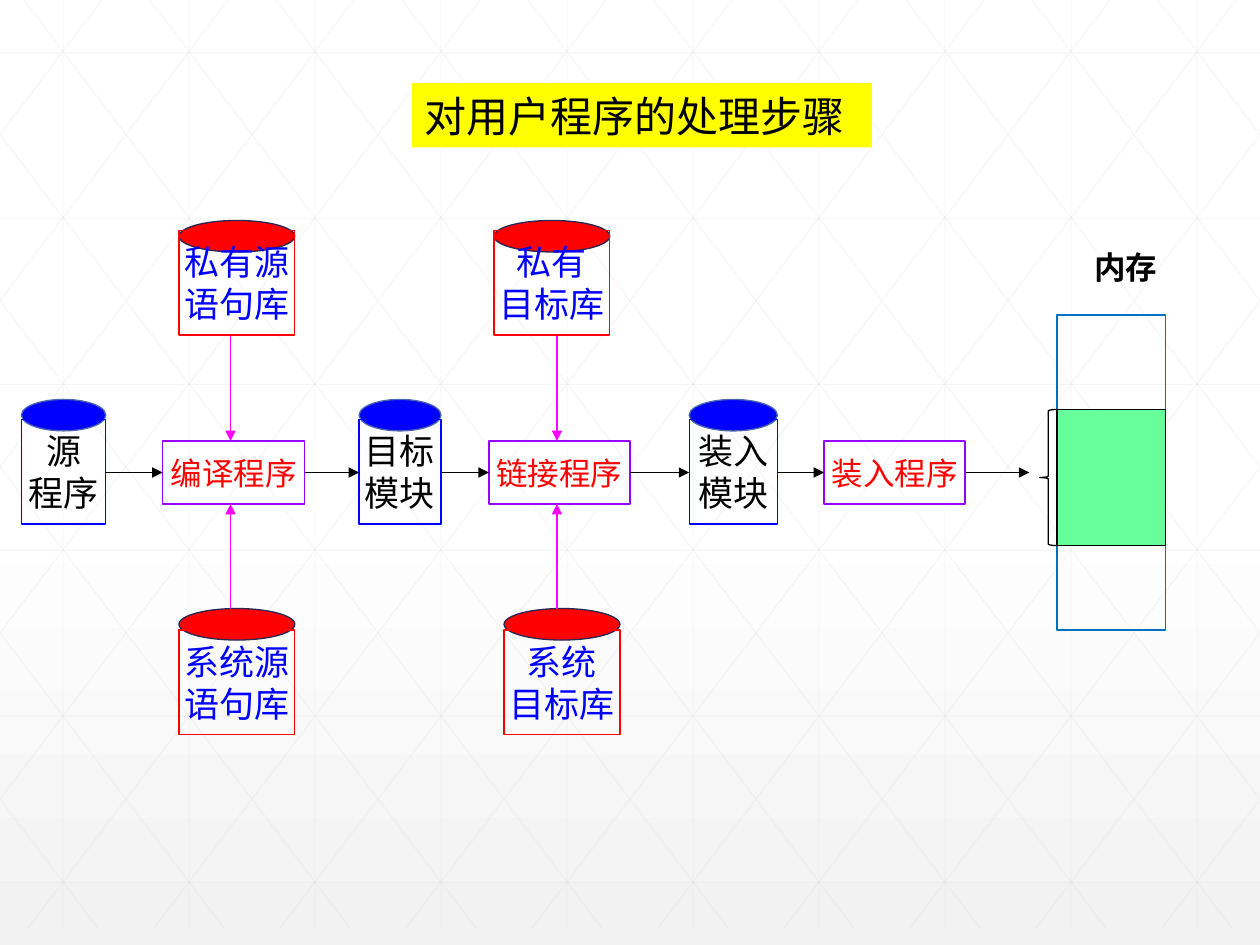
"""Draw the steps that turn a user program into an image in memory."""
from typing import NamedTuple, Optional

from lxml.etree import SubElement
from pptx import Presentation
from pptx.dml.color import RGBColor
from pptx.enum.shapes import MSO_CONNECTOR, MSO_SHAPE
from pptx.enum.text import MSO_ANCHOR, PP_ALIGN
from pptx.oxml.ns import qn
from pptx.util import Inches, Pt

BLACK = RGBColor(0, 0, 0)
WHITE = RGBColor(255, 255, 255)
PALE = RGBColor(0xF2, 0xF2, 0xF2)
GREY = RGBColor(0xD9, 0xD9, 0xD9)
YELLOW = RGBColor(255, 255, 0)
RED = RGBColor(255, 0, 0)
BLUE = RGBColor(0, 0, 255)
STEEL = RGBColor(0x4A, 0x66, 0xAC)
NAVY = RGBColor(0x24, 0x28, 0x52)
PURPLE = RGBColor(0x99, 0, 255)
PINK = RGBColor(255, 0, 255)
AZURE = RGBColor(0, 0x70, 0xC0)
GREEN = RGBColor(0x66, 255, 0x99)

WIDE, HIGH = 10, 7.5
FLOOR, RUN = 7.37, 5.59
MID = 3.75


class Look(NamedTuple):
    edge: RGBColor
    lid: RGBColor
    rim: RGBColor
    ink: RGBColor


FILE = Look(BLUE, BLUE, STEEL, BLACK)
STORE = Look(RED, RED, NAVY, BLUE)


class Drum(NamedTuple):
    text: str
    left: float
    top: float
    width: float
    lid: float
    look: Look


class Step(NamedTuple):
    text: str
    left: float
    width: float


DRUMS = [
    Drum("源\n程序", 0.17, 3.33, 0.67, 3.17, FILE),
    Drum("目标\n模块", 2.85, 3.33, 0.65, 3.17, FILE),
    Drum("装入\n模块", 5.47, 3.33, 0.7, 3.17, FILE),
    Drum("私有源\n语句库", 1.42, 1.83, 0.92, 1.75, STORE),
    Drum("系统源\n语句库", 1.42, 5, 0.92, 4.83, STORE),
    Drum("私有\n目标库", 3.92, 1.83, 0.92, 1.75, STORE),
    Drum("系统\n目标库", 4, 5, 0.92, 4.83, STORE),
]
STEPS = [
    Step("编译程序", 1.29, 1.13),
    Step("链接程序", 3.88, 1.12),
    Step("装入程序", 6.54, 1.12),
]
FLOWS = [(0.83, 1.29), (2.42, 2.85), (3.5, 3.88), (5, 5.47), (6.17, 6.54), (7.67, 8.17)]


def draw_line(slide, x1: float, y1: float, x2: float, y2: float, color: RGBColor,
              weight: float = 0.75, arrow: bool = True, alpha: int = 100) -> None:
    line = slide.shapes.add_connector(
        MSO_CONNECTOR.STRAIGHT, Inches(x1), Inches(y1), Inches(x2), Inches(y2))
    line.line.color.rgb = color
    line.line.width = Pt(weight)
    props = line._element.spPr
    SubElement(props, qn("a:effectLst"))
    if arrow:
        SubElement(props.find(qn("a:ln")), qn("a:tailEnd"), type="triangle")
    if alpha < 100:
        SubElement(next(props.iter(qn("a:srgbClr"))), qn("a:alpha"), val=str(alpha * 1000))


def draw_shape(slide, kind: MSO_SHAPE, left: float, top: float, width: float, height: float,
               fill: Optional[RGBColor] = None, edge: Optional[RGBColor] = None):
    shape = slide.shapes.add_shape(
        kind, Inches(left), Inches(top), Inches(width), Inches(height))
    shape.shadow.inherit = False
    if fill is None:
        shape.fill.background()
    else:
        shape.fill.solid()
        shape.fill.fore_color.rgb = fill
    if edge is None:
        shape.line.fill.background()
    else:
        shape.line.color.rgb = edge
        shape.line.width = Pt(0.75)
    return shape


def set_text(shape, text: str, size: int, color: RGBColor, bold: bool = False,
             align: PP_ALIGN = PP_ALIGN.CENTER, wrap: bool = False) -> None:
    frame = shape.text_frame
    frame.text = text
    frame.word_wrap = wrap
    frame.vertical_anchor = MSO_ANCHOR.MIDDLE
    for para in frame.paragraphs:
        para.alignment = align
        para.font.name = "Arial"
        para.font.size = Pt(size)
        para.font.bold = bold
        para.font.color.rgb = color


def draw_mesh(slide) -> None:
    def thread(x1: float, y1: float, x2: float, y2: float) -> None:
        draw_line(slide, x1, y1, x2, y2, GREY, 0.5, False, 25)

    for col in range(10):
        thread(col + 0.5, 0, col + 0.5, FLOOR)
    for row in range(6):
        y = 0.42 + row * 1.316
        thread(0, y, WIDE, y)
    slope = FLOOR / RUN
    for step in range(-5, 10):
        start = step + 0.19
        x1, x2 = max(start, 0), min(start + RUN, WIDE)
        y1, y2 = (x1 - start) * slope, (x2 - start) * slope
        thread(x1, y1, x2, y2)
        thread(WIDE - x1, y1, WIDE - x2, y2)


def draw_drum(slide, drum: Drum) -> None:
    look = drum.look
    draw_shape(slide, MSO_SHAPE.OVAL, drum.left, drum.lid, drum.width, 0.25, look.lid, look.rim)
    body = draw_shape(slide, MSO_SHAPE.RECTANGLE, drum.left, drum.top, drum.width, 0.83,
                      edge=look.edge)
    set_text(body, drum.text, 20, look.ink)


def draw_memory(slide) -> None:
    label = slide.shapes.add_textbox(Inches(8.58), Inches(1.92), Inches(0.71), Inches(0.4))
    set_text(label, "内存", 18, BLACK, bold=True)
    draw_shape(slide, MSO_SHAPE.RECTANGLE, 8.39, 2.5, 0.86, 2.5, edge=AZURE)
    draw_shape(slide, MSO_SHAPE.RECTANGLE, 8.39, 3.25, 0.86, 1.08, GREEN, BLACK)
    draw_shape(slide, MSO_SHAPE.LEFT_BRACE, 8.25, 3.25, 0.14, 1.08, edge=BLACK)


def main() -> None:
    deck = Presentation()
    deck.slide_width, deck.slide_height = Inches(WIDE), Inches(HIGH)
    slide = deck.slides.add_slide(deck.slide_layouts[6])
    back = slide.background.fill
    back.gradient()
    back.gradient_angle = 270
    for stop, place, color in zip(back.gradient_stops, (0.53, 1), (WHITE, PALE)):
        stop.position = place
        stop.color.rgb = color
    draw_mesh(slide)
    title = draw_shape(slide, MSO_SHAPE.RECTANGLE, 3.27, 0.66, 3.65, 0.51, YELLOW)
    set_text(title, "对用户程序的处理步骤", 24, BLACK, align=PP_ALIGN.LEFT, wrap=True)
    for drum in DRUMS:
        draw_drum(slide, drum)
    for step in STEPS:
        box = draw_shape(slide, MSO_SHAPE.RECTANGLE, step.left, 3.5, step.width, 0.5, edge=PURPLE)
        set_text(box, step.text, 18, RED)
    for start, end in FLOWS:
        draw_line(slide, start, MID, end, MID, BLACK)
    for x in (1.83, 4.42):
        draw_line(slide, x, 2.67, x, 3.5, PINK)
        draw_line(slide, x, 4.83, x, 4, PINK)
    draw_memory(slide)
    deck.save("out.pptx")


if __name__ == "__main__":
    main()
